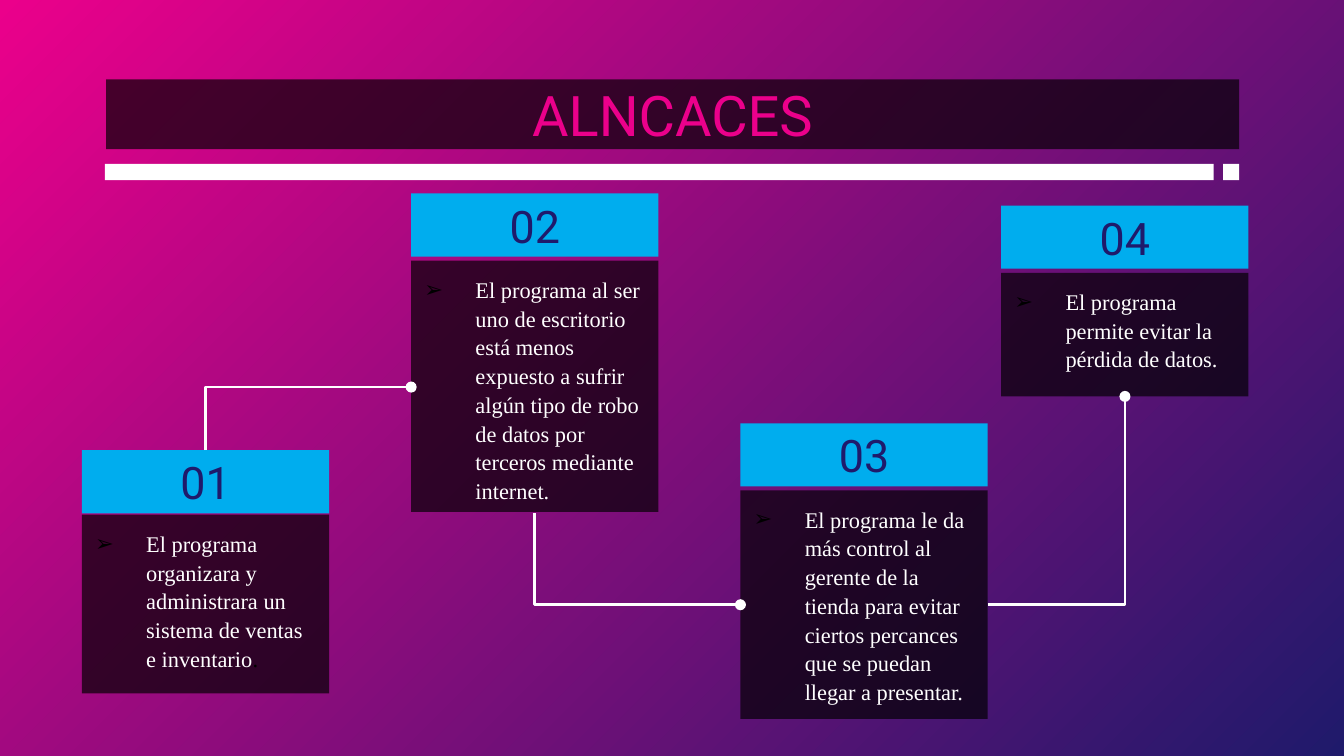
"""Build the project scope slide: four numbered cards joined by elbow connectors."""
from dataclasses import dataclass

from lxml import etree
from pptx import Presentation
from pptx.dml.color import RGBColor
from pptx.enum.shapes import MSO_CONNECTOR, MSO_SHAPE
from pptx.enum.text import MSO_ANCHOR, PP_ALIGN
from pptx.oxml.ns import qn
from pptx.util import Inches, Pt

RECTANGLE = MSO_SHAPE.RECTANGLE
ELBOW = MSO_CONNECTOR.ELBOW
TOP, MIDDLE = MSO_ANCHOR.TOP, MSO_ANCHOR.MIDDLE
LEFT, CENTER = PP_ALIGN.LEFT, PP_ALIGN.CENTER


@dataclass(frozen=True)
class Theme:
    pink: RGBColor = RGBColor.from_string("EB008B")
    navy: RGBColor = RGBColor.from_string("1F1A6B")
    cyan: RGBColor = RGBColor.from_string("00ADEE")
    white: RGBColor = RGBColor.from_string("FFFFFF")
    black: RGBColor = RGBColor.from_string("000000")
    heading_font: str = "Roboto"
    body_font: str = "Times New Roman"
    title_size: Pt = Pt(30)
    number_size: Pt = Pt(24)
    body_size: Pt = Pt(12)
    line_width: Pt = Pt(1.5)
    panel_opacity: str = "68000"


theme = Theme()


def add_panel(page, left, top, width, height, color, opacity=None):
    panel = page.shapes.add_shape(
        RECTANGLE, Inches(left), Inches(top), Inches(width), Inches(height))
    panel.shadow.inherit = False
    panel.fill.solid()
    panel.fill.fore_color.rgb = color
    panel.line.fill.background()
    if opacity:
        paint = panel._element.spPr.find(".//" + qn("a:srgbClr"))
        etree.SubElement(paint, qn("a:alpha"), val=opacity)
    return panel


def write_text(panel, text, anchor, alignment, font_name, size, color, bulleted=False):
    frame = panel.text_frame
    frame.word_wrap = True
    frame.vertical_anchor = anchor
    frame.margin_left = frame.margin_right = Inches(0.1)
    frame.margin_top = frame.margin_bottom = Inches(0.1)
    para = frame.paragraphs[0]
    para.alignment = alignment
    para.add_run().text = text
    if bulleted:
        para.line_spacing = 1.07
        para.space_after = Pt(8)
        properties = para._p.get_or_add_pPr()
        properties.set("marL", str(Inches(0.38)))
        properties.set("indent", str(-Inches(0.38)))
        bullet_color = etree.SubElement(properties, qn("a:buClr"))
        etree.SubElement(bullet_color, qn("a:srgbClr"), val=str(theme.black))
        etree.SubElement(properties, qn("a:buFont"), typeface=theme.heading_font)
        etree.SubElement(properties, qn("a:buChar"), char="➢")
    para.font.name = font_name
    para.font.size = size
    para.font.color.rgb = color
    return para


deck = Presentation()
deck.slide_width = Inches(10)
deck.slide_height = deck.slide_width * 9 // 16
page = deck.slides.add_slide(deck.slide_layouts[6])

background = page.background.fill
background.gradient()
for stop, color in zip(background.gradient_stops, (theme.pink, theme.navy)):
    stop.color.rgb = color
gradient = page.element.find(".//" + qn("a:gradFill"))
gradient.remove(gradient.find(qn("a:lin")))
radial = etree.SubElement(gradient, qn("a:path"), {"path": "circle"})
etree.SubElement(radial, qn("a:fillToRect"), r="100000", b="100000")

title = add_panel(page, 0.79, 0.59, 8.43, 0.52, theme.black, theme.panel_opacity)
write_text(title, "ALNCACES", MIDDLE, CENTER,
           theme.heading_font, theme.title_size, theme.pink)

for left, width in ((0.78, 8.25), (9.1, 0.12)):
    add_panel(page, left, 1.22, width, 0.12, theme.white)

CARD_WIDTH, HEADER_HEIGHT = 1.84, 0.47
cards = (
    (0.61, 3.35, 3.83, 1.33,
     "El programa organizara y administrara un sistema de ventas e inventario", "."),
    (3.06, 1.44, 1.94, 1.87,
     "El programa al ser uno de escritorio está menos expuesto a sufrir algún tipo "
     "de robo de datos por terceros mediante internet.", ""),
    (5.51, 3.15, 3.65, 1.7,
     "El programa le da más control al gerente de la tienda para evitar ciertos "
     "percances que se puedan llegar a presentar.", ""),
    (7.45, 1.53, 2.03, 0.92,
     "El programa permite evitar la pérdida de datos.", ""),
)
for number, (left, header_top, body_top, body_height, text, dark_ending) in enumerate(cards, 1):
    body = add_panel(page, left, body_top, CARD_WIDTH, body_height,
                     theme.black, theme.panel_opacity)
    para = write_text(body, text, TOP, LEFT, theme.body_font,
                      theme.body_size, theme.white, bulleted=True)
    if dark_ending:
        span = para.add_run()
        span.text = dark_ending
        span.font.color.rgb = theme.black
    header = add_panel(page, left, header_top, CARD_WIDTH, HEADER_HEIGHT, theme.cyan)
    write_text(header, f"{number:02d}", MIDDLE, CENTER,
               theme.heading_font, theme.number_size, theme.navy)

links = (
    (1.53, 3.35, 3.06, 2.88, True),
    (3.98, 3.82, 5.51, 4.5, True),
    (7.35, 4.5, 8.37, 2.95, False),
)
for start_x, start_y, end_x, end_y, vertical_first in links:
    points = [(start_x, start_y), (end_x, end_y)]
    if vertical_first:
        middle_x, middle_y = (start_x + end_x) / 2, (start_y + end_y) / 2
        points = [(middle_x + middle_y - y, middle_y + x - middle_x) for x, y in points]
    link = page.shapes.add_connector(
        ELBOW, *(Inches(value) for point in points for value in point))
    link.line.color.rgb = theme.white
    link.line.width = theme.line_width
    properties = link._element.spPr
    properties.find(qn("a:prstGeom")).set("prst", "bentConnector2")
    if vertical_first:
        properties.find(qn("a:xfrm")).set("rot", str(270 * 60000))
    etree.SubElement(properties.find(qn("a:ln")), qn("a:tailEnd"), type="oval")
    etree.SubElement(properties, qn("a:effectLst"))

deck.save("out.pptx")
